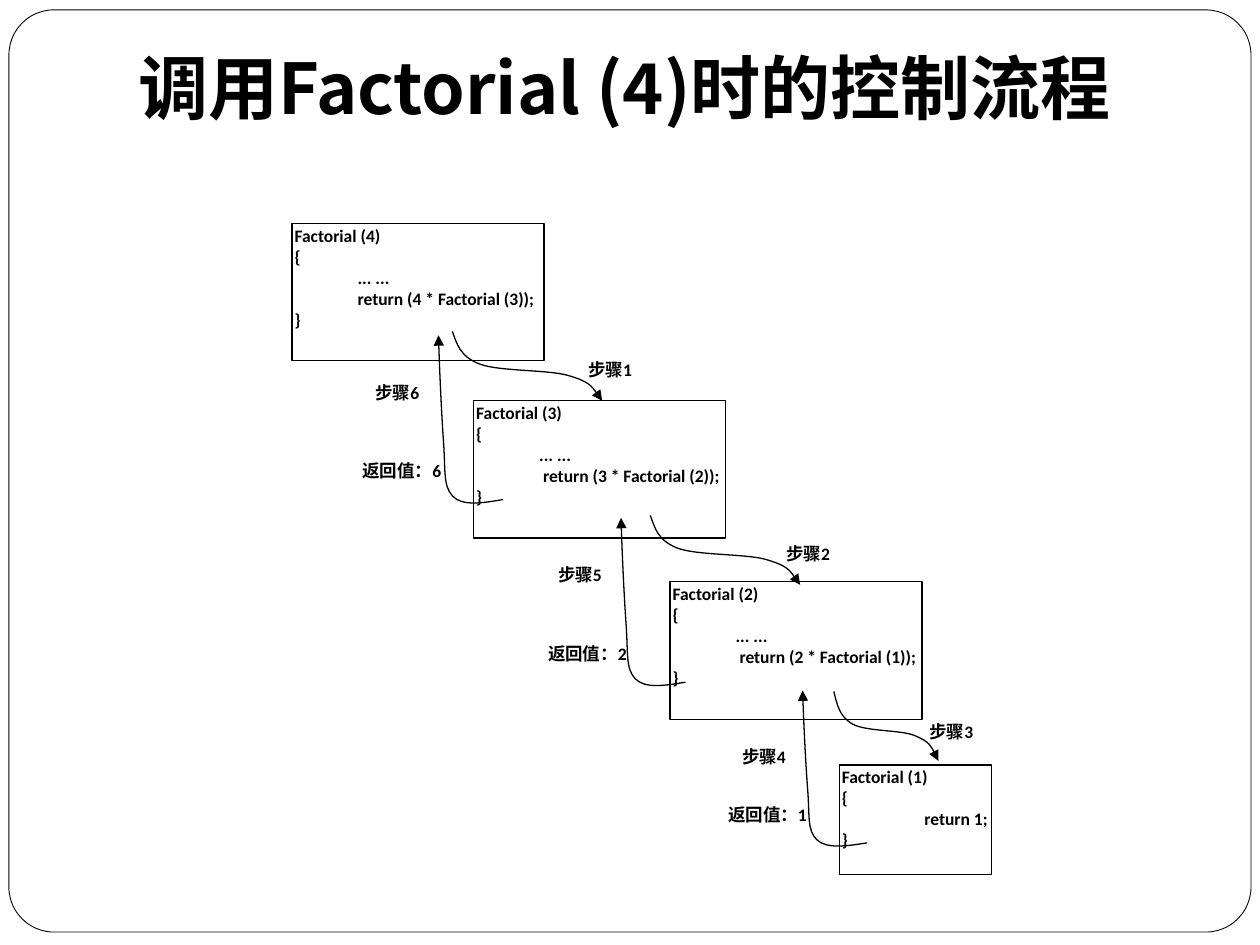
"""Build the slide on the control flow of a call to Factorial (4)."""
from lxml import etree
from pptx import Presentation
from pptx.dml.color import RGBColor
from pptx.enum.shapes import MSO_SHAPE
from pptx.enum.text import MSO_ANCHOR, PP_ALIGN
from pptx.oxml.ns import qn
from pptx.util import Cm, Pt

BLACK = RGBColor(0, 0, 0)
WHITE = RGBColor(255, 255, 255)
RECTANGLE = MSO_SHAPE.RECTANGLE
ROUNDED = MSO_SHAPE.ROUNDED_RECTANGLE
TOP = MSO_ANCHOR.TOP
LEFT, JUSTIFY = PP_ALIGN.LEFT, PP_ALIGN.JUSTIFY
LATIN, CHINESE = "Calibri", "Noto Sans CJK SC"

TITLE = "调用Factorial (4)时的控制流程"
FRAME = (0.18, 0.2, 25.04, 18.59)
TITLE_AREA = (2.54, 0.76, 21.59, 3.18)

CALLS = [
    ((5.89, 4.5, 5.08, 2.77), 4,
     ["\t... ...", " " * 16 + "return (4 * Factorial (3));"]),
    ((9.55, 8.08, 5.08, 2.77), 3,
     ["\t... ...", " " * 17 + "return (3 * Factorial (2));"]),
    ((13.51, 11.73, 5.08, 2.77), 2,
     ["\t... ...", " " * 17 + "return (2 * Factorial (1));"]),
    ((16.92, 15.42, 3.07, 2.21), 1, [" " * 21 + "return 1;"]),
]

STEP_SIZE = (1.24, 0.63)
STEPS = [(11.81, 7.21), (15.8, 10.92), (18.69, 14.5),
         (14.91, 15.01), (11.2, 11.35), (7.52, 7.67)]
RESULTS = [
    (1, (14.63, 16.18, 2.18, 0.63)),
    (2, (11, 12.93, 2.11, 0.63)),
    (6, (7.26, 9.25, 1.85, 0.63)),
]

CALL_CURVE = [(0, 0), (0.03, 0.18), (0.05, 0.36), (0.18, 0.47), (0.31, 0.58),
              (0.65, 0.55), (0.78, 0.64), (0.92, 0.73), (0.96, 0.87), (1, 1)]
RETURN_CURVE = [(1, 0.96), (0.69, 0.98), (0.37, 1), (0.22, 0.94), (0.07, 0.88),
                (0.11, 0.79), (0.08, 0.63), (0.05, 0.47), (0.02, 0.24), (0, 0)]
ARROWS = [
    (CALL_CURVE, [(9.12, 6.68, 3.02, 1.4), (13.11, 10.39, 3.02, 1.4),
                  (16.81, 13.94, 2.11, 1.4)]),
    (RETURN_CURVE, [(8.84, 6.76, 1.3, 3.45), (12.52, 10.44, 1.3, 3.45),
                    (16.18, 13.92, 1.3, 3.2)]),
]


def write(shape, text, size=10, latin=LATIN, align=JUSTIFY, inset=(0.05, 0.03)):
    frame = shape.text_frame
    frame.text = text
    frame.word_wrap = True
    frame.vertical_anchor = TOP
    frame.margin_left = frame.margin_right = Cm(inset[0])
    frame.margin_top = frame.margin_bottom = Cm(inset[1])
    for paragraph in frame.paragraphs:
        paragraph.alignment = align
        for run in paragraph.runs:
            run.font.size = Pt(size)
            run.font.bold = True
            run.font.color.rgb = BLACK
            run.font.name = latin
            etree.SubElement(run.font._element, qn("a:ea"), typeface=CHINESE)


def outline(shape, width):
    shape.shadow.inherit = False
    shape.line.color.rgb = BLACK
    shape.line.width = Pt(width)


def add_label(shapes, text, area, **style):
    write(shapes.add_textbox(*map(Cm, area)), text, **style)


def add_call(shapes, area, number, body):
    call = shapes.add_shape(RECTANGLE, *map(Cm, area))
    call.fill.background()
    outline(call, 0.75)
    write(call, "\n".join([f"Factorial ({number})", "{", *body, "}"]))


def add_arrow(shapes, curve, area):
    left, top, width, height = area
    start, *points = [(Cm(left + x * width), Cm(top + y * height))
                      for x, y in curve]
    builder = shapes.build_freeform(*start)
    builder.add_line_segments(points, close=False)
    arrow = builder.convert_to_shape()
    segments = list(arrow._element.iter(qn("a:lnTo")))
    route = segments[0].getparent()
    for first in range(0, len(segments), 3):
        bend = etree.SubElement(route, qn("a:cubicBezTo"))
        for segment in segments[first:first + 3]:
            bend.append(segment[0])
            route.remove(segment)
    arrow.fill.background()
    outline(arrow, 0.75)
    etree.SubElement(arrow.line._get_or_add_ln(), qn("a:tailEnd"),
                     type="triangle")


def main():
    deck = Presentation()
    deck.slide_width, deck.slide_height = Cm(25.4), Cm(19.05)
    shapes = deck.slides.add_slide(deck.slide_layouts[6]).shapes

    frame = shapes.add_shape(ROUNDED, *map(Cm, FRAME))
    frame.adjustments[0] = 0.049
    frame.fill.solid()
    frame.fill.fore_color.rgb = WHITE
    outline(frame, 0.5)
    add_label(shapes, TITLE, TITLE_AREA, size=40, latin=CHINESE,
              align=LEFT, inset=(0.25, 0.13))

    for call in CALLS:
        add_call(shapes, *call)
    for curve, areas in ARROWS:
        for area in areas:
            add_arrow(shapes, curve, area)
    for number, corner in enumerate(STEPS, 1):
        add_label(shapes, f"步骤{number}", corner + STEP_SIZE)
    for value, area in RESULTS:
        add_label(shapes, f"返回值：{value}", area)

    deck.save("out.pptx")


if __name__ == "__main__":
    main()
